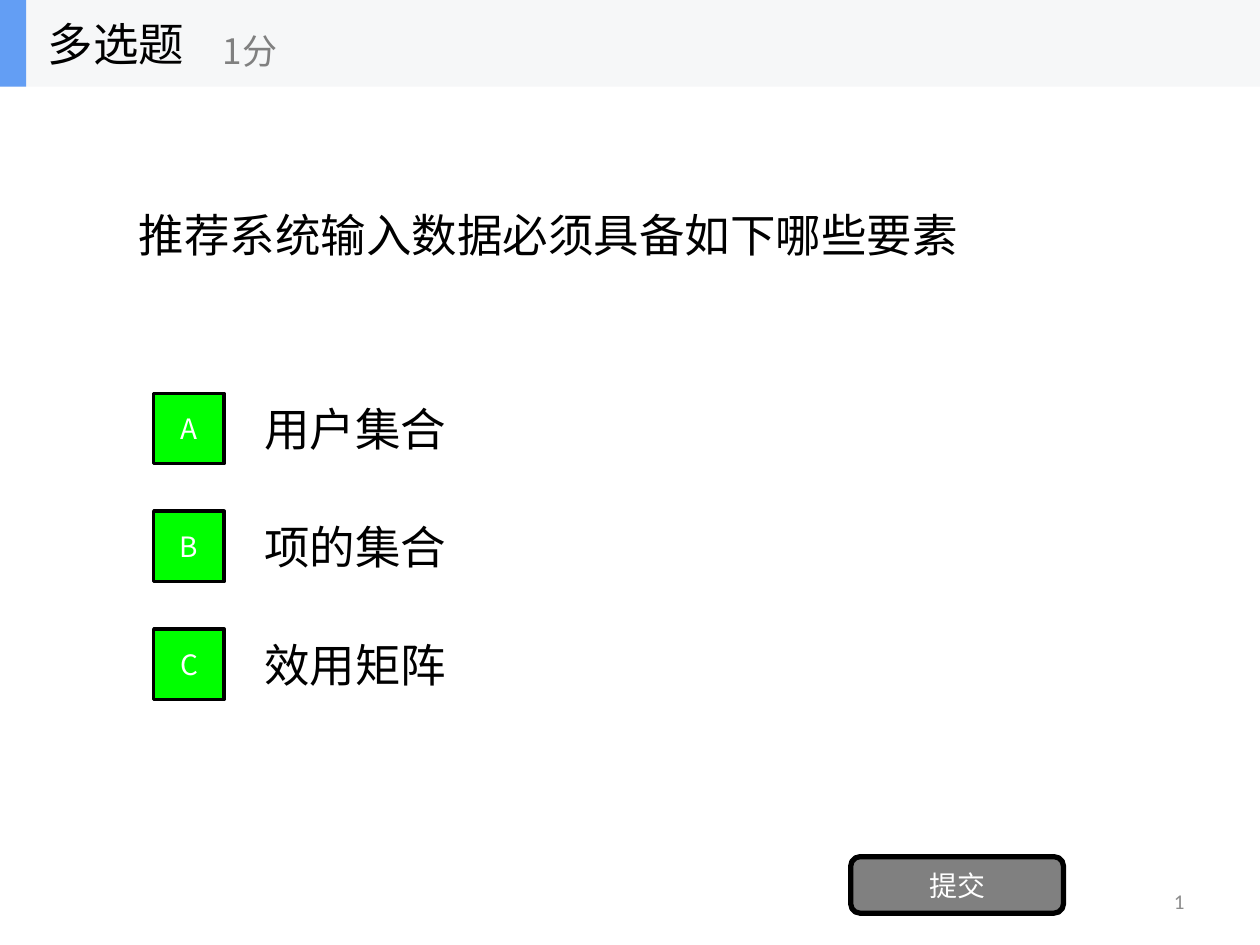
from lxml.etree import SubElement
from pptx import Presentation
from pptx.dml.color import RGBColor
from pptx.enum.shapes import MSO_SHAPE as Shape
from pptx.enum.text import MSO_ANCHOR as Anchor, PP_ALIGN as Align
from pptx.oxml.ns import qn
from pptx.util import Cm, Pt

CJK = "Noto Sans CJK SC"
BLACK, GRAY, WHITE = "000000", "808080", "FFFFFF"


def rgb(color):
    return RGBColor.from_string(color)


def write(sp, text, size, color, align=Align.LEFT, font=CJK):
    tf = sp.text_frame
    tf.word_wrap = True
    tf.vertical_anchor = Anchor.MIDDLE
    p = tf.paragraphs[0]
    p.text = text
    p.alignment = align
    p.font.name = font
    p.font.size = Pt(size)
    p.font.color.rgb = rgb(color)
    # Chinese characters take their font from the East Asian slot
    SubElement(p._p.pPr.find(qn("a:defRPr")), qn("a:ea"), typeface=font)


def add_text(shapes, box, *args, **kwargs):
    sp = shapes.add_textbox(*map(Cm, box))
    write(sp, *args, **kwargs)


def add_block(shapes, kind, box, fill, line_width=0):
    sp = shapes.add_shape(kind, *map(Cm, box))
    sp.shadow.inherit = False
    sp.fill.solid()
    sp.fill.fore_color.rgb = rgb(fill)
    if line_width:
        sp.line.color.rgb = rgb(BLACK)
        sp.line.width = Pt(line_width)
    else:
        sp.line.fill.background()
    return sp


def add_header(slide, box, kind, score):
    x, y, w, h = box
    shapes = slide.shapes.add_group_shape().shapes
    add_block(shapes, Shape.RECTANGLE, box, "F6F7F8")
    add_block(shapes, Shape.RECTANGLE, (x, y, 0.53, h), "639EF4")
    add_text(shapes, (x + 0.71, y, 5.28, h), kind, 26, BLACK)
    add_text(shapes, (x + 4.24, y + 0.3, 6.35, 1.42), score, 20, GRAY)


def add_question(slide, box, text):
    title = slide.shapes.title
    title.left, title.top, title.width, title.height = map(Cm, box)
    write(title, text, 26, BLACK)


def add_options(slide, box, options):
    """Stack lettered options in rows that share the height of the box."""
    x, y, w, h = box
    pitch, row, side, indent = h / len(options), 1.78, 1.42, 1.98
    for i, option in enumerate(options):
        top = y + i * pitch
        add_text(slide.shapes, (x + indent, top, w - indent, row), option, 26, BLACK)
        key = add_block(slide.shapes, Shape.RECTANGLE,
                        (x, top + (row - side) / 2, side, side), "00FF00", 2)
        write(key, "ABCDEFGH"[i], 16, WHITE, Align.CENTER)


def add_footer(slide, box, button, number):
    x, y, w, h = box
    sp = add_block(slide.shapes, Shape.ROUNDED_RECTANGLE, (x, y, 4.29, 1.14), GRAY, 3)
    write(sp, button, 16, WHITE, Align.CENTER)
    add_text(slide.shapes, (x + w - 5.92, y + h - 1.02, 5.92, 1.02),
             number, 12, "8C8C8C", Align.RIGHT, "Calibri")


def main():
    prs = Presentation()
    prs.slide_width, prs.slide_height = Cm(25.4), Cm(19.05)
    slide = prs.slides.add_slide(prs.slide_layouts[5])
    add_question(slide, (2.54, 1.75, 20.32, 5.94), "推荐系统输入数据必须具备如下哪些要素")
    add_options(slide, (3.1, 7.75, 19.76, 7.13), ["用户集合", "项的集合", "效用矩阵"])
    add_footer(slide, (17.15, 17.27, 6.98, 1.4), "提交", "1")
    add_header(slide, (0, 0, 25.4, 1.75), "多选题", "1分")
    prs.save("out.pptx")


if __name__ == "__main__":
    main()
